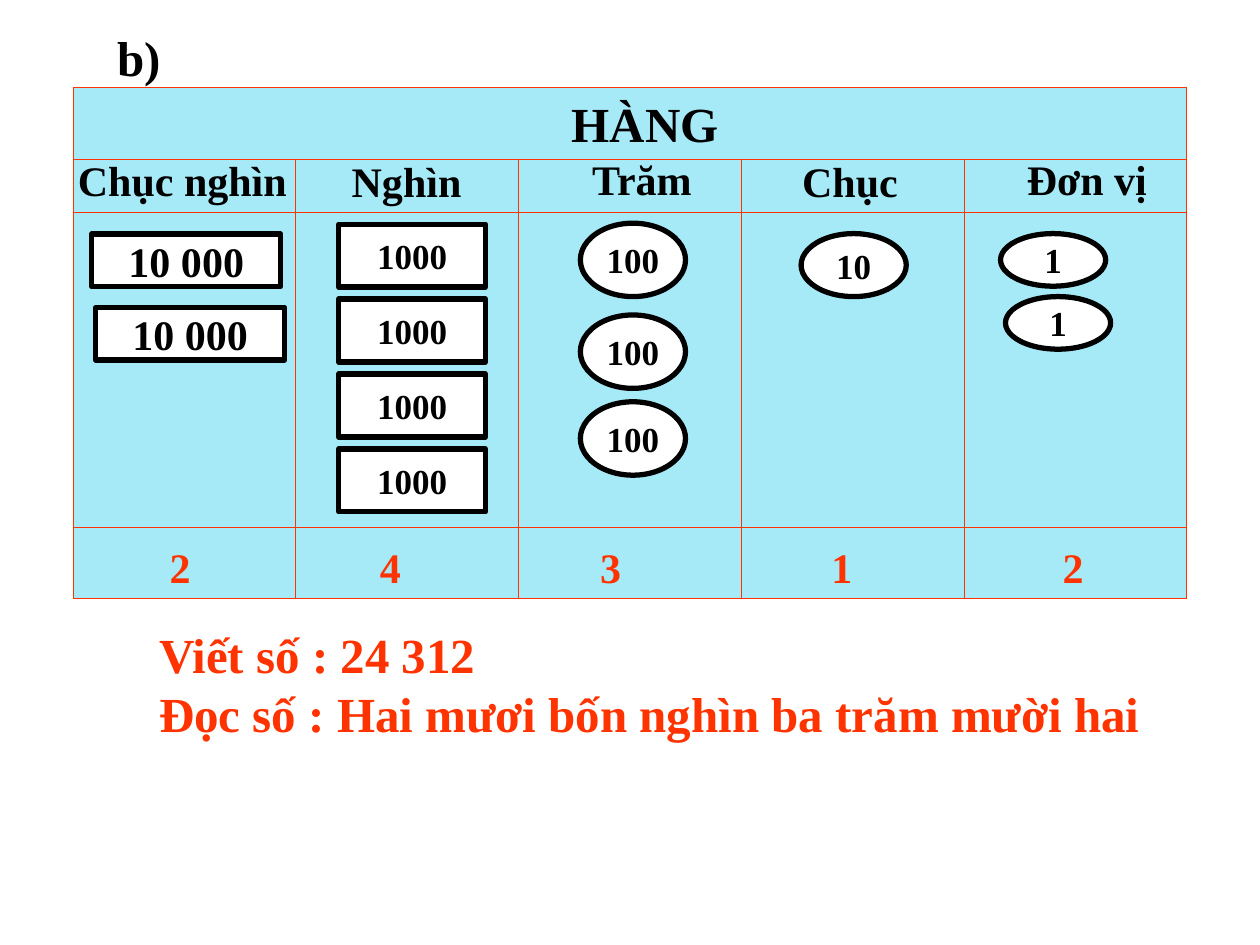
from dataclasses import dataclass
from lxml.etree import SubElement
from pptx import Presentation
from pptx.dml.color import RGBColor
from pptx.enum.shapes import MSO_SHAPE
from pptx.enum.text import MSO_ANCHOR, PP_ALIGN
from pptx.oxml.ns import qn
from pptx.slide import Slide
from pptx.util import Cm, Pt

COLOURS = {"black": "000000", "white": "FFFFFF", "red": "FF3300", "sky": "A6EAF8"}


def colour(name):
    return RGBColor.from_string(COLOURS[name])


@dataclass
class PlaceValueSlide:
    slide: Slide
    font: str = "Times New Roman"
    border: float = 0.45
    outline: float = 3

    def fill_text(self, frame, lines, size, ink, alignment):
        values = {"name": self.font, "size": Pt(size), "bold": True}
        for index, line in enumerate(lines):
            paragraph = frame.add_paragraph() if index else frame.paragraphs[0]
            paragraph.text = line
            paragraph.alignment = alignment
            for name, value in values.items():
                setattr(paragraph.font, name, value)
            paragraph.font.color.rgb = colour(ink)

    def text(self, lines, left, top, width, height, size=24, ink="black", indent=0):
        box = self.slide.shapes.add_textbox(Cm(left), Cm(top), Cm(width), Cm(height))
        frame = box.text_frame
        frame.word_wrap = True
        frame.margin_left = Cm(0.25 + indent)
        self.fill_text(frame, lines, size, ink, PP_ALIGN.LEFT)

    def token(self, value, kind, left, top, width, height, size=20):
        shape = self.slide.shapes.add_shape(kind, Cm(left), Cm(top), Cm(width), Cm(height))
        shape.shadow.inherit = False
        shape.fill.solid()
        shape.fill.fore_color.rgb = colour("white")
        shape.line.color.rgb = colour("black")
        shape.line.width = Pt(self.outline)
        frame = shape.text_frame
        frame.word_wrap = False
        frame.vertical_anchor = MSO_ANCHOR.MIDDLE
        self.fill_text(frame, [value], size, "black", PP_ALIGN.CENTER)

    def style_cell(self, cell):
        properties = cell._tc.get_or_add_tcPr()
        for side in ("a:lnL", "a:lnR", "a:lnT", "a:lnB"):
            line = SubElement(properties, qn(side), w=str(int(Pt(self.border))))
            fill = SubElement(line, qn("a:solidFill"))
            SubElement(fill, qn("a:srgbClr"), val=COLOURS["red"])
        cell.fill.solid()
        cell.fill.fore_color.rgb = colour("sky")

    def table(self, left, top, column_width, columns, row_heights):
        frame = self.slide.shapes.add_table(
            len(row_heights), columns, Cm(left), Cm(top),
            Cm(column_width * columns), Cm(sum(row_heights)))
        table = frame.table
        for column in table.columns:
            column.width = Cm(column_width)
        for row, height in zip(table.rows, row_heights):
            row.height = Cm(height)
        for cell in table.iter_cells():
            self.style_cell(cell)
        table.cell(0, 0).merge(table.cell(0, columns - 1))


def main():
    presentation = Presentation()
    presentation.slide_width = Cm(25.4)
    presentation.slide_height = Cm(19.05)
    page = PlaceValueSlide(presentation.slides.add_slide(presentation.slide_layouts[6]))

    page.table(1.47, 1.76, 4.49, 5, [1.45, 1.07, 6.35, 1.43])

    digits = [("2", 2.96), ("4", 7.2), ("3", 11.64), ("1", 16.3), ("2", 20.96)]
    for digit, left in digits:
        page.text([digit], left, 10.8, 1.7, 1.27, ink="red", indent=0.21)

    page.text(["Viết số : 24 312", "Đọc số : Hai mươi bốn nghìn ba trăm mười hai"],
              2.96, 12.47, 20.96, 2.64, size=28, ink="red")
    page.text(["HÀNG"], 11.28, 1.76, 4.66, 1.45, size=28)

    headings = [
        ("Chục nghìn", 1.32, 3.0, 6.35, 0),
        ("Nghìn", 6.63, 3.02, 4.02, 0.21),
        ("Trăm", 11.48, 2.97, 4.02, 0.21),
        ("Chục", 15.29, 3.02, 4.02, 0.63),
        ("Đơn vị", 20.24, 2.97, 4.02, 0.21),
    ]
    for heading, left, top, width, indent in headings:
        page.text([heading], left, top, width, 1.27, indent=indent)

    box, oval = MSO_SHAPE.RECTANGLE, MSO_SHAPE.OVAL
    stacks = [
        ("10 000", box, 3.81, 1.06, 24, [(1.85, 4.72), (1.93, 6.2)]),
        ("1000", box, 2.96, 1.27, 20, [(6.83, 4.52 + 1.51 * i) for i in range(4)]),
        ("100", oval, 2.12, 1.48, 20, [(11.7, 4.5), (11.7, 6.35), (11.7, 8.1)]),
        ("10", oval, 2.12, 1.27, 20, [(16.15, 4.71)]),
        ("1", oval, 2.12, 1.06, 20, [(20.17, 4.71), (20.27, 5.98)]),
    ]
    for value, kind, width, height, size, places in stacks:
        for left, top in places:
            page.token(value, kind, left, top, width, height, size)

    page.text(["b)"], 2.12, 0.43, 2.33, 1.45, size=28)
    presentation.save("out.pptx")


if __name__ == "__main__":
    main()
